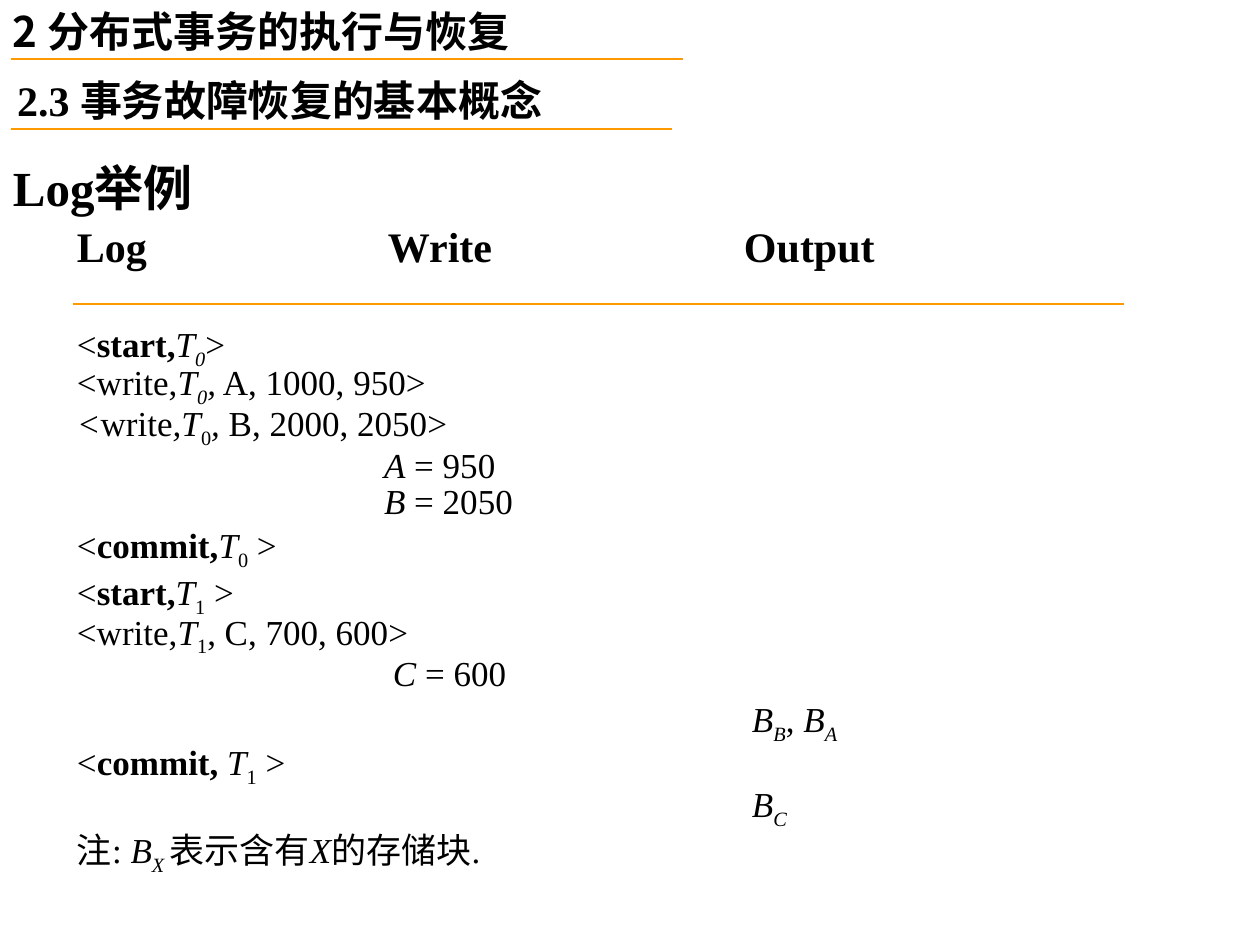
from pptx import Presentation
from pptx.dml.color import RGBColor
from pptx.enum.shapes import MSO_CONNECTOR as Conn
from pptx.enum.text import MSO_ANCHOR as Anchor, MSO_AUTO_SIZE as AutoSize, PP_ALIGN as Align
from pptx.oxml.ns import qn
from pptx.util import Pt
from lxml.etree import SubElement

SCALE = 914400 / 126
BLACK, ORANGE = "000000", "FF9900"
SERIF, CJK = "Times New Roman", "Noto Sans CJK SC"
T = ("T", "i")
B = ("B", "i")


def px(n):
    return round(n * SCALE)


def color(value):
    return RGBColor.from_string(value)


class Deck:
    def __init__(self, width, height):
        self.prs = Presentation()
        self.prs.slide_width, self.prs.slide_height = px(width), px(height)
        self.s = self.prs.slides.add_slide(self.prs.slide_layouts[5])

    def frame(self, sp, anchor=Anchor.TOP):
        tf = sp.text_frame
        fmt = dict(word_wrap=True, auto_size=AutoSize.NONE, vertical_anchor=anchor,
                   margin_left=px(13), margin_right=px(13),
                   margin_top=px(6), margin_bottom=px(6))
        for name, value in fmt.items():
            setattr(tf, name, value)
        return tf

    def run(self, p, text, marks="", size=20, font=SERIF):
        """Marks: b bold, i italic, s subscript."""
        r = p.add_run()
        r.text = text
        fmt = dict(size=Pt(size), name=font, bold="b" in marks, italic="i" in marks)
        for name, value in fmt.items():
            setattr(r.font, name, value)
        r.font.color.rgb = color(BLACK)
        rPr = r._r.get_or_add_rPr()
        SubElement(rPr, qn("a:ea")).set("typeface", CJK)
        if "s" in marks:
            rPr.set("baseline", "-25000")

    def title(self, box, text):
        sp = self.s.shapes.title
        sp.left, sp.top, sp.width, sp.height = map(px, box)
        p = self.frame(sp, Anchor.MIDDLE).paragraphs[0]
        p.alignment = Align.LEFT
        self.run(p, text, "b", 28)

    def text(self, box):
        return self.frame(self.s.shapes.add_textbox(*map(px, box)))

    def heading(self, box, *parts):
        p = self.text(box).paragraphs[0]
        for text, font in parts:
            self.run(p, text, "b", 24, font)

    def tabs(self, p, stops):
        tab_list = SubElement(p._p.get_or_add_pPr(), qn("a:tabLst"))
        for stop in stops:
            tab = SubElement(tab_list, qn("a:tab"))
            tab.set("pos", str(px(stop)))
            tab.set("algn", "l")

    def log_row(self, tf, indent, spacing, before, parts):
        p = tf.add_paragraph()
        p.line_spacing, p.space_before = spacing, Pt(before)
        p._p.get_or_add_pPr().set("marL", str(px(indent)))
        for part in parts:
            self.run(p, *part)

    def rule(self, x1, x2, y, width):
        ln = self.s.shapes.add_connector(Conn.STRAIGHT, px(x1), px(y), px(x2), px(y))
        ln.line.color.rgb = color(ORANGE)
        ln.line.width = Pt(width)
        SubElement(ln._element.spPr, qn("a:effectLst"))


# Left offset of each column inside the log text
LOG, WRITE, OUTPUT = 0, 307, 675

# Offset, line spacing, space before, runs
ROWS = [
    (LOG, 0.6, 37, [("<",), ("start,", "b"), T, ("0", "is"), (">",)]),
    (LOG, 0.6, 5, [("<write,",), T, ("0", "is"), (",", "i"), (" A, 1000, 950>",)]),
    (LOG, 0.7, 5, [("<", "i"), ("write",), (",T", "i"), ("0", "s"), (",", "i"),
                   (" B, 2000, 2050>",)]),
    (WRITE, 0.8, 5, [("A", "i"), (" = 950",)]),
    (WRITE, 0.6, 5, [B, (" = 2050",)]),
    (LOG, 0.8, 5, [("<",), ("commit,", "b"), T, ("0", "s"), (" >",)]),
    (LOG, 0.8, 5, [("<",), ("start,", "b"), T, ("1", "s"), (" >",)]),
    (LOG, 0.6, 5, [("<write,",), T, ("1", "s"), (", C, 700, 600>",)]),
    (WRITE + 9, 0.8, 5, [("C", "i"), (" = 600",)]),
    (OUTPUT, 0.8, 5, [B, ("B", "is"), (", ",), B, ("A", "is")]),
    (LOG, 0.7, 5, [("<",), ("commit, ", "b"), T, ("1", "s"), (" >",)]),
    (OUTPUT, 0.7, 5, [B, ("C", "is")]),
    (LOG, 0.8, 5, [("注: ",), B, ("X ", "is"), ("表示含有",), ("X", "i"), ("的存储块.",)]),
]


def main():
    deck = Deck(1260, 945)
    deck.title((0, 125, 292, 123), "Log举例")

    # Log listing: column heads, then rows
    tf = deck.text((64, 224, 1153, 658))
    head = tf.paragraphs[0]
    head.line_spacing = 0.8
    deck.tabs(head, (311, 667))
    deck.run(head, "Log\tWrite\tOutput", "b", 24)
    for row in ROWS:
        deck.log_row(tf, *row)
    deck.rule(73, 1124, 304, 0.75)

    # Section headings with their rules
    deck.heading((4, 69, 736, 63), ("2.3 ", SERIF), ("事务故障恢复的基本概念", CJK))
    deck.rule(11, 672, 129, 1.5)
    deck.heading((0, 0, 736, 63), ("2 分布式事务的执行与恢复", CJK))
    deck.rule(11, 683, 59, 1.5)

    deck.prs.save("out.pptx")


if __name__ == "__main__":
    main()
